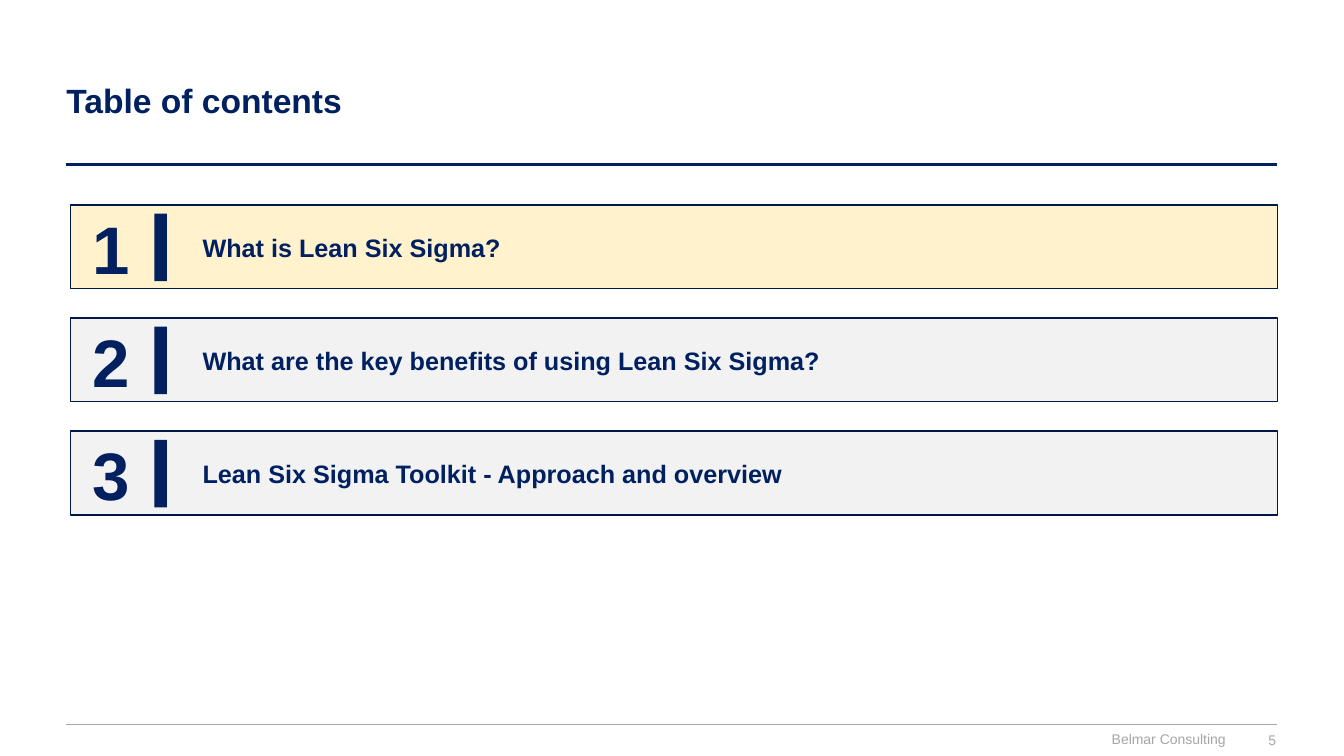
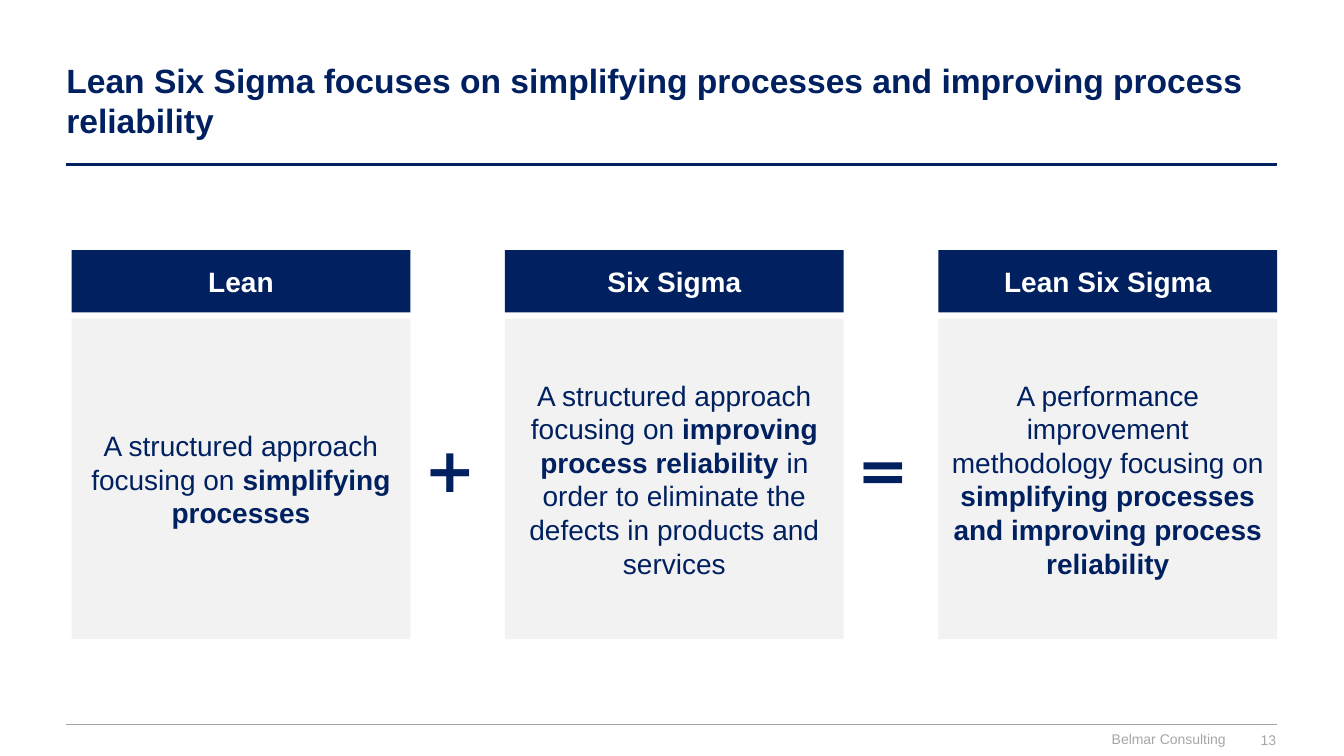
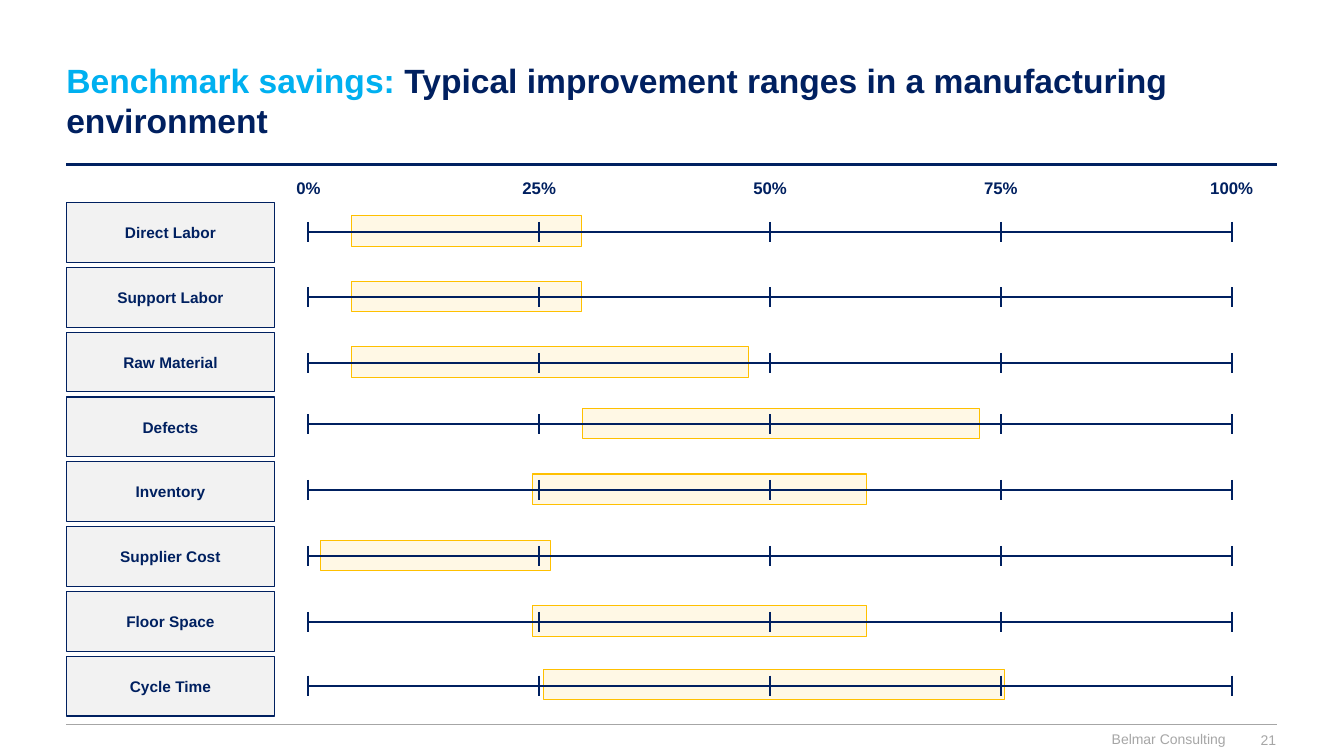
from dataclasses import dataclass

from lxml import etree
from pptx import Presentation
from pptx.dml.color import RGBColor
from pptx.enum.shapes import MSO_CONNECTOR, MSO_SHAPE
from pptx.enum.text import MSO_ANCHOR, PP_ALIGN
from pptx.oxml.ns import qn
from pptx.util import Pt

RECT = MSO_SHAPE.RECTANGLE
STRAIGHT = MSO_CONNECTOR.STRAIGHT
LEFT, CENTER, RIGHT = PP_ALIGN.LEFT, PP_ALIGN.CENTER, PP_ALIGN.RIGHT
TOP, MIDDLE, BOTTOM = MSO_ANCHOR.TOP, MSO_ANCHOR.MIDDLE, MSO_ANCHOR.BOTTOM


@dataclass(frozen=True)
class Theme:
    navy: str = "002060"
    dark_navy: str = "001847"
    blue: str = "00B0F0"
    gold: str = "FFC000"
    cream: str = "FFF2CC"
    light: str = "F2F2F2"
    grey: str = "A6A6A6"
    white: str = "FFFFFF"
    font: str = "Arial"
    symbol_font: str = "DejaVu Sans"
    title: float = 24
    number: float = 48
    symbol: float = 44
    body: float = 20
    entry: float = 18
    scale: float = 12
    label: float = 11
    footer: float = 10


T = Theme()
MARGIN_L, MARGIN_R = 47.5, 912.2
COMPANY = "Belmar Consulting"


@dataclass(frozen=True)
class Span:
    text: str
    bold: bool = True
    color: str = T.navy


@dataclass(frozen=True)
class Box:
    x: float
    y: float
    w: float
    h: float

    def emu(self) -> tuple:
        return Pt(self.x), Pt(self.y), Pt(self.w), Pt(self.h)


@dataclass(frozen=True)
class Entry:
    text: str
    fill: str = T.light


@dataclass(frozen=True)
class Card:
    heading: str
    spans: list[Span]


@dataclass(frozen=True)
class Saving:
    name: str
    axis_y: float
    low: float
    high: float


# Drawing helpers
def write(sp, spans: list[Span], size: float, align=CENTER, anchor=MIDDLE,
          insets: tuple[float, float] = (7.2, 3.6), font: str = T.font,
          wrap: bool = True) -> None:
    tf = sp.text_frame
    tf.word_wrap = wrap
    tf.vertical_anchor = anchor
    tf.margin_left = tf.margin_right = Pt(insets[0])
    tf.margin_top = tf.margin_bottom = Pt(insets[1])
    p = tf.paragraphs[0]
    p.alignment = align
    for span in spans:
        r = p.add_run()
        r.text = span.text
        r.font.name = font
        r.font.size = Pt(size)
        r.font.bold = span.bold
        r.font.color.rgb = RGBColor.from_string(span.color)


def add_text(s, box: Box, spans: list[Span], size: float, **style) -> None:
    write(s.shapes.add_textbox(*box.emu()), spans, size, **style)


def add_rect(s, box: Box, fill: str, line: str = "", width: float = 0.75,
             alpha: int = 100):
    sp = s.shapes.add_shape(RECT, *box.emu())
    sp.shadow.inherit = False
    sp.fill.solid()
    sp.fill.fore_color.rgb = RGBColor.from_string(fill)
    if alpha < 100:
        clr = sp.fill._xPr.find(qn("a:solidFill"))[0]
        etree.SubElement(clr, qn("a:alpha"), val=str(alpha * 1000))
    if line:
        sp.line.color.rgb = RGBColor.from_string(line)
        sp.line.width = Pt(width)
    else:
        sp.line.fill.background()
    return sp


def add_line(shapes, x1: float, y1: float, x2: float, y2: float,
             color: str = T.navy, width: float = 1.5) -> None:
    ln = shapes.add_connector(STRAIGHT, Pt(x1), Pt(y1), Pt(x2), Pt(y2))
    ln.line.color.rgb = RGBColor.from_string(color)
    ln.line.width = Pt(width)
    etree.SubElement(ln._element.spPr, qn("a:effectLst"))


# Frame shared by all slides
def add_slide(prs, title: list[Span], number: int):
    s = prs.slides.add_slide(prs.slide_layouts[6])
    add_line(s.shapes, MARGIN_L, 117.4, MARGIN_R, 117.4, width=2)
    add_line(s.shapes, MARGIN_L, 517.7, MARGIN_R, 517.7, T.grey, 1)
    add_text(s, Box(40.3, 28.8, 872, 85), title, T.title, align=LEFT)
    add_text(s, Box(678.2, 522, 197.3, 12.2), [Span(COMPANY, False, T.grey)],
             T.footer, align=RIGHT, anchor=TOP, insets=(0, 0))
    add_text(s, Box(883.4, 520.6, 28.1, 15.1),
             [Span(str(number), False, T.grey)],
             T.footer, align=RIGHT, insets=(0, 0))
    return s


# Table of contents
def contents_slide(prs) -> None:
    s = add_slide(prs, [Span("Table of contents")], 5)
    entries = [
        Entry("What is Lean Six Sigma?", T.cream),
        Entry("What are the key benefits of using Lean Six Sigma?"),
        Entry("Lean Six Sigma Toolkit - Approach and overview"),
    ]
    x, top, pitch = 50.2, 146.4, 80.8
    for i, entry in enumerate(entries):
        y = top + i * pitch
        add_rect(s, Box(x, y, 862.4, 59.8), entry.fill, T.dark_navy, 1)
        add_text(s, Box(x, y + 5, 58.3, 51), [Span(str(i + 1))],
                 T.number, insets=(0, 0))
        add_text(s, Box(144.7, y + 19.3, 732, 21.6), [Span(entry.text)],
                 T.entry, align=LEFT, insets=(0, 0))
        add_rect(s, Box(110.2, y + 6.2, 9, 48.2), T.navy)


# Lean plus Six Sigma
def equation_slide(prs) -> None:
    s = add_slide(prs, [Span("Lean Six Sigma focuses on simplifying processes "
                             "and improving process reliability")], 13)
    cards = [
        Card("Lean", [
            Span("A structured approach focusing on ", False),
            Span("simplifying processes")]),
        Card("Six Sigma", [
            Span("A structured approach focusing on ", False),
            Span("improving process reliability "),
            Span("in order to eliminate the defects in products and services",
                 False)]),
        Card("Lean Six Sigma", [
            Span("A performance improvement methodology focusing on ", False),
            Span("simplifying processes and improving process reliability")]),
    ]
    left, pitch, width = 51.1, 309.6, 242
    for i, card in enumerate(cards):
        x = left + i * pitch
        write(add_rect(s, Box(x, 178.6, width, 44.6), T.navy),
              [Span(card.heading, color=T.white)], T.body)
        write(add_rect(s, Box(x, 227.5, width, 229), T.light),
              card.spans, T.body)
    for i, symbol in enumerate("+="):
        add_text(s, Box(299.5 + i * pitch, 303.8, 46.1, 60.5), [Span(symbol)],
                 T.symbol, align=LEFT, anchor=BOTTOM, insets=(3.6, 3.6),
                 font=T.symbol_font, wrap=False)


# Benchmark savings
def savings_slide(prs) -> None:
    s = add_slide(prs, [
        Span("Benchmark savings: ", color=T.blue),
        Span("Typical improvement ranges in a manufacturing environment"),
    ], 21)
    savings = [
        Saving("Direct Labor", 165.6, 4.7, 29.6),
        Saving("Support Labor", 212.4, 4.7, 29.6),
        Saving("Raw Material", 259.2, 4.7, 47.7),
        Saving("Defects", 303, 29.7, 72.7),
        Saving("Inventory", 350, 24.3, 60.5),
        Saving("Supplier Cost", 397.2, 1.3, 26.2),
        Saving("Floor Space", 444.2, 24.3, 60.5),
        Saving("Cycle Time", 489.8, 25.5, 75.4),
    ]
    axis_x, axis_w, tick, label_w = 220.3, 659.5, 7.2, 44.6
    percents = range(0, 101, 25)

    def at(percent: float) -> float:
        return axis_x + axis_w * percent / 100

    # Scale
    for percent in percents:
        add_text(s, Box(at(percent) - label_w / 2, 123.1, label_w, 21.6),
                 [Span(f"{percent}%")], T.scale, anchor=TOP, insets=(0, 3.6))

    # Label, range bar and axis of each saving
    for i, saving in enumerate(savings):
        y = saving.axis_y
        write(add_rect(s, Box(MARGIN_L, 144.7 + i * 46.3, 148.6, 42.7),
                       T.light, T.navy), [Span(saving.name)], T.label)
        add_rect(s, Box(at(saving.low), y - 11.4,
                        axis_w * (saving.high - saving.low) / 100, 21.6),
                 T.cream, T.gold, alpha=50)
        axis = s.shapes.add_group_shape().shapes
        add_line(axis, at(0), y, at(100), y)
        for percent in percents:
            add_line(axis, at(percent), y - tick, at(percent), y + tick)


def main() -> None:
    prs = Presentation()
    prs.slide_width, prs.slide_height = Pt(960), Pt(540)
    contents_slide(prs)
    equation_slide(prs)
    savings_slide(prs)
    prs.save("out.pptx")


if __name__ == "__main__":
    main()
